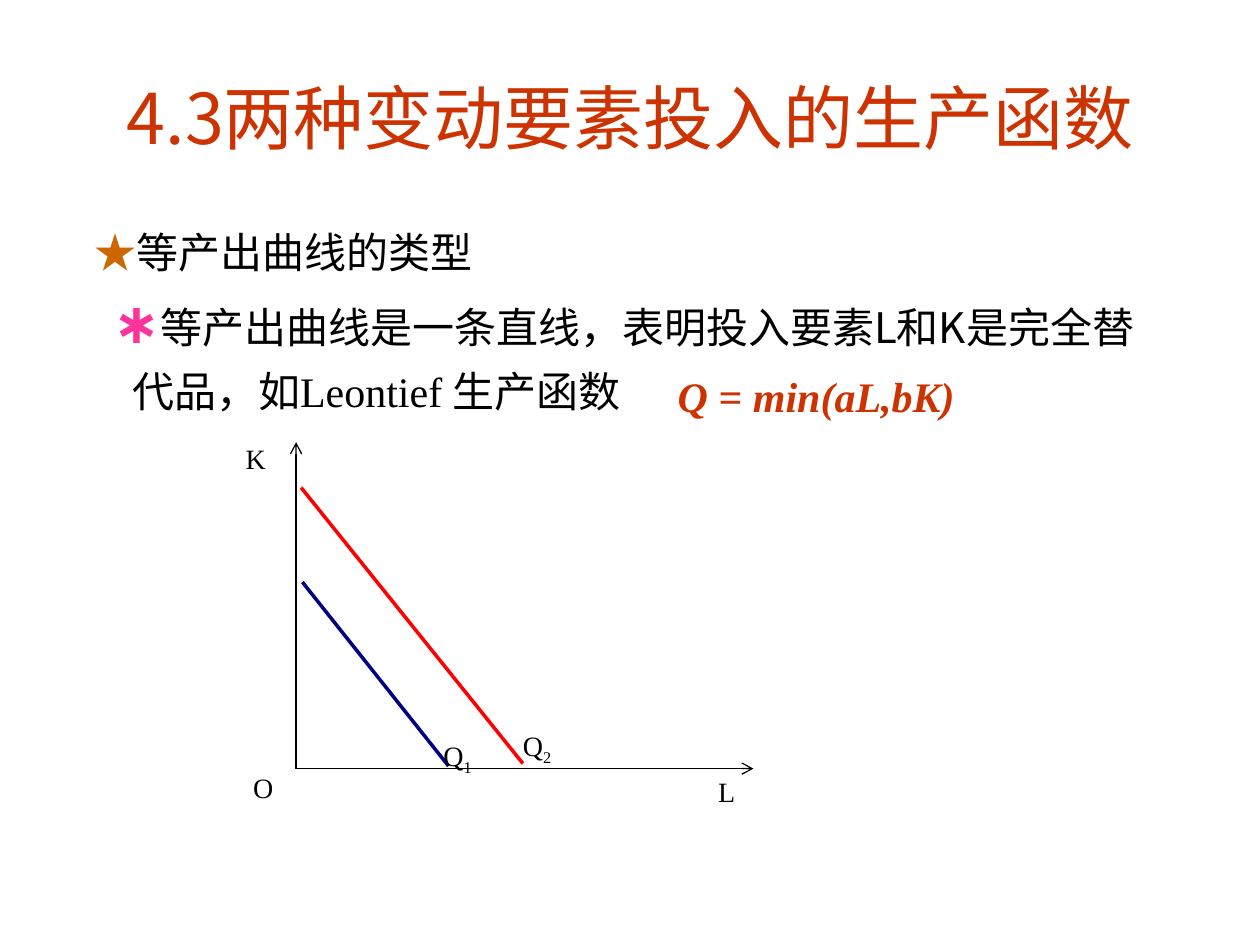
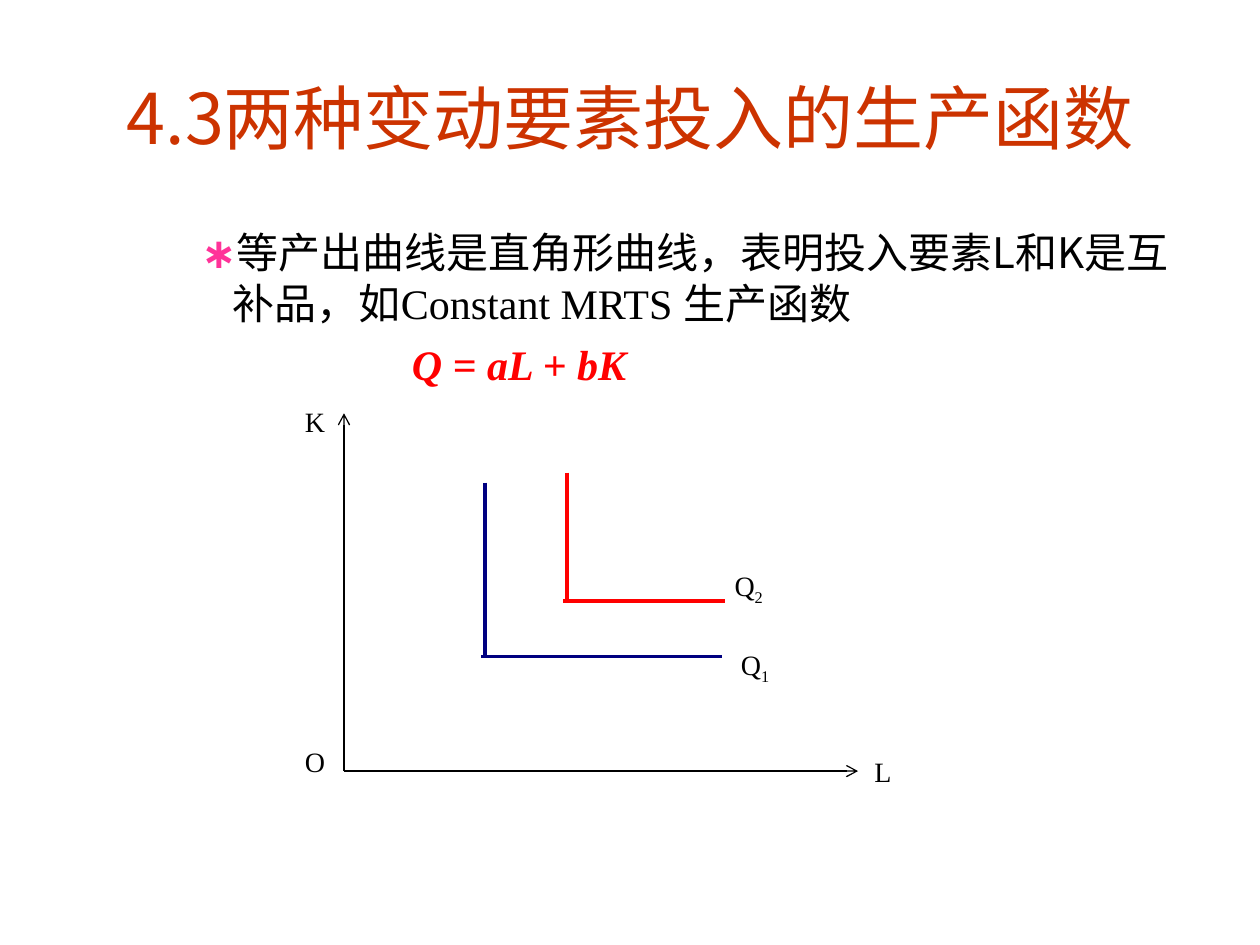
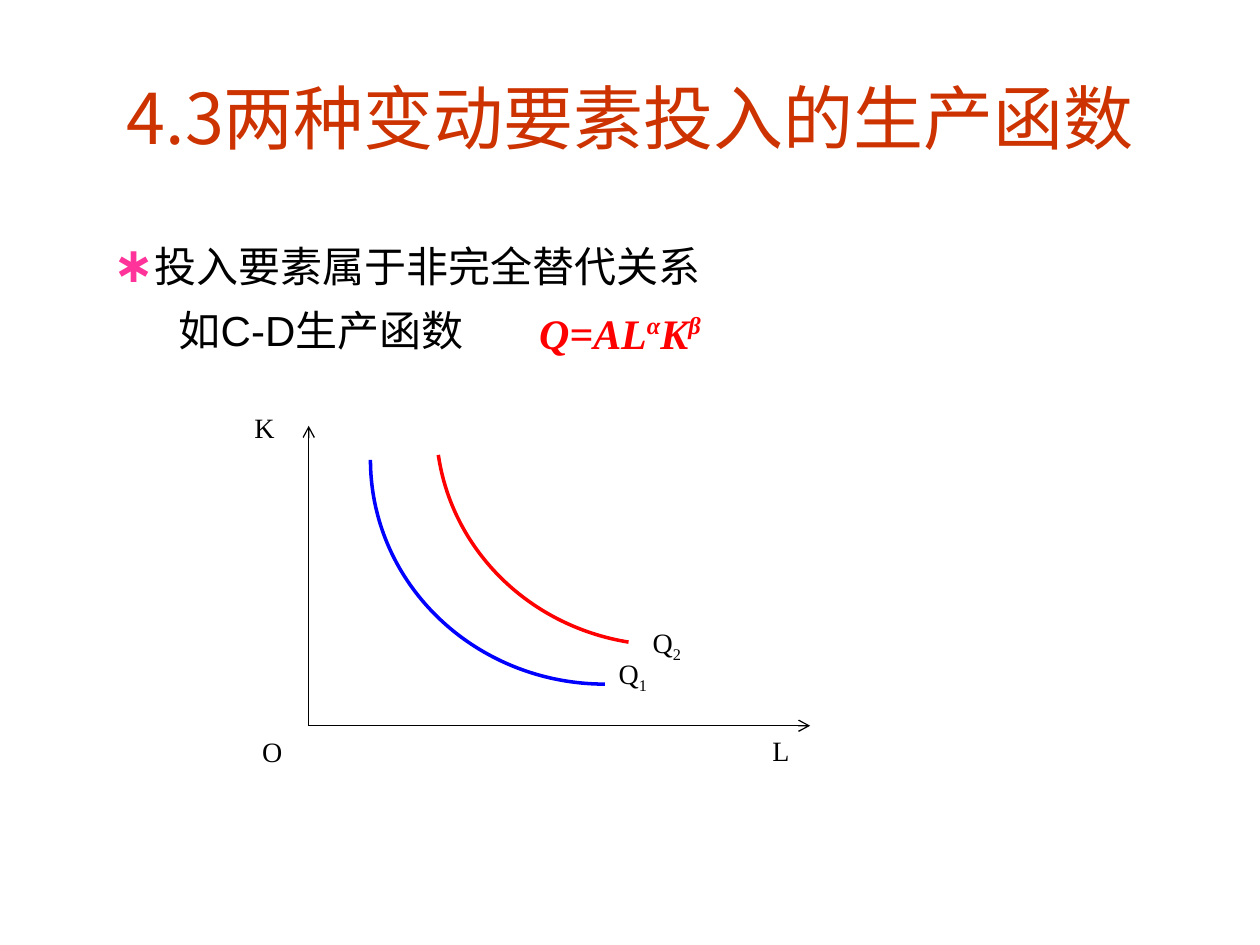
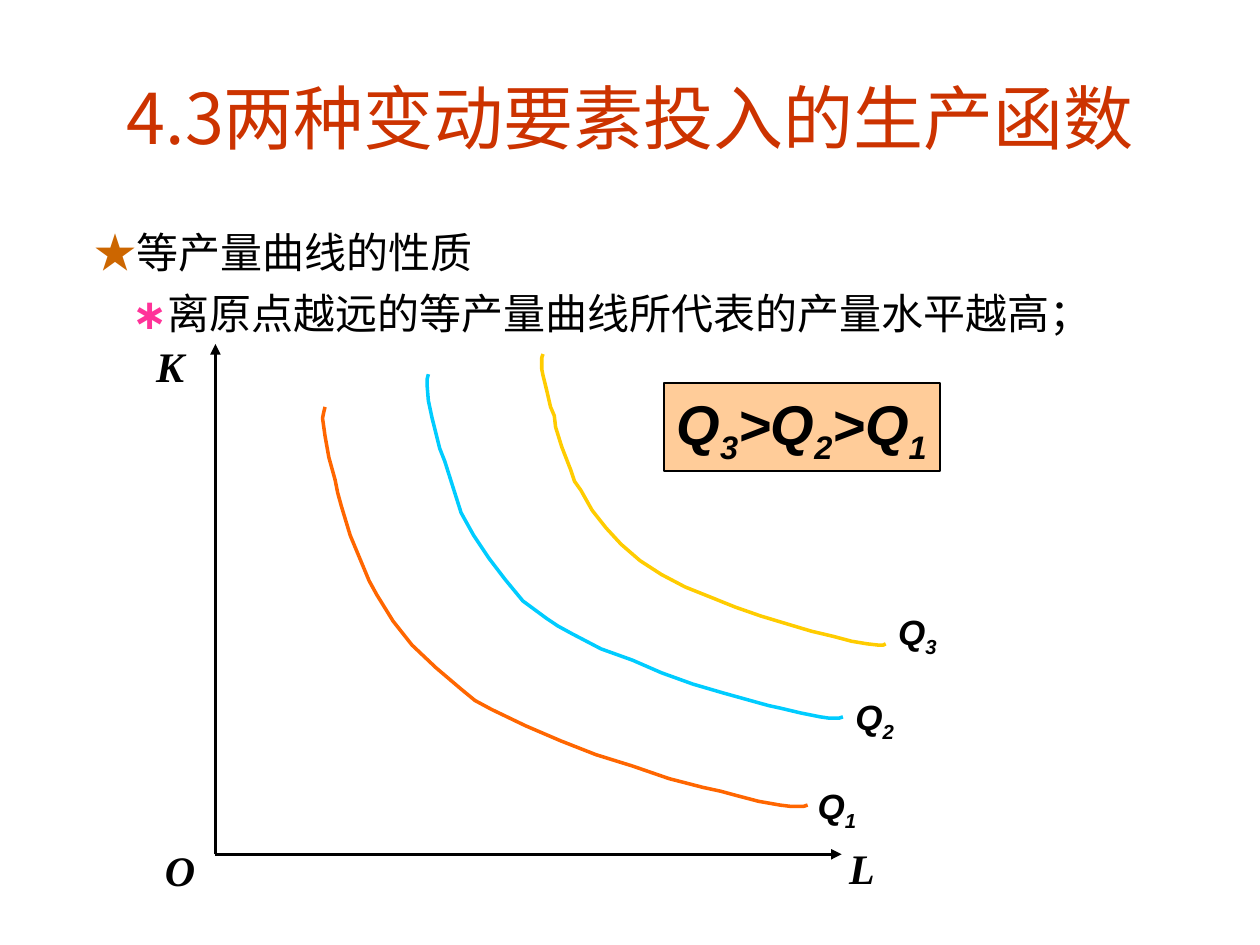
from pptx import Presentation
from pptx.dml.color import RGBColor
from pptx.enum.shapes import MSO_CONNECTOR, MSO_SHAPE
from pptx.enum.text import MSO_ANCHOR, PP_ALIGN
from pptx.oxml.ns import qn
from pptx.util import Inches, Pt
from lxml.etree import SubElement

COLORS = {
    "title": "CC3300", "star": "CC6600", "asterisk": "FF3399", "black": "000000",
    "red": "FF0000", "navy": "000080", "blue": "0000FF", "orange": "FF6600",
    "cyan": "00CCFF", "yellow": "FFCC00", "peach": "FFCC99",
}
SANS, SERIF, CHINESE = "Arial", "Times New Roman", "Noto Sans CJK SC"
TITLE_TEXT = "4.3两种变动要素投入的生产函数"

TITLE = {"size": 40, "name": CHINESE, "color": "title"}
BODY = {"size": 24, "name": CHINESE, "color": "black"}
ARIAL = {**BODY, "name": SANS}
TIMES = {**BODY, "name": SERIF}
STAR = {**BODY, "color": "star"}
ASTERISK = {**BODY, "color": "asterisk", "bold": True}
FORMULA = {**TIMES, "color": "red", "bold": True, "italic": True}
SUPER = {**FORMULA, "baseline": 36}
AXIS_LABEL = {**TIMES, "size": 16}
BOLD_AXIS = {**TIMES, "bold": True, "italic": True}
BOLD_CURVE = {**ARIAL, "size": 20, "bold": True, "italic": True}
ORDERING = {**BOLD_CURVE, "size": 32}

THIN_INSETS = (0.02, 0.01)
WIDE_INSETS = (0.1, 0.05)

CURVES = {
    "cyan": [
        (3.4, 2.97), (3.39, 3.01), (3.39, 3.06), (3.4, 3.18), (3.43, 3.32), (3.47, 3.48),
        (3.49, 3.56), (3.53, 3.66), (3.59, 3.85), (3.66, 4.07), (3.71, 4.16), (3.76, 4.25),
        (3.88, 4.43), (4.01, 4.6), (4.15, 4.77), (4.34, 4.91), (4.43, 4.97), (4.54, 5.03),
        (4.77, 5.15), (5.02, 5.24), (5.25, 5.34), (5.5, 5.43), (5.74, 5.5), (5.99, 5.57),
        (6.1, 5.6), (6.19, 5.62), (6.36, 5.66), (6.51, 5.69), (6.58, 5.7), (6.66, 5.7),
        (6.69, 5.69)],
    "yellow": [
        (4.31, 2.81), (4.3, 2.84), (4.3, 2.93), (4.31, 2.98), (4.34, 3.1), (4.37, 3.23),
        (4.4, 3.3), (4.41, 3.39), (4.46, 3.55), (4.53, 3.73), (4.56, 3.82), (4.61, 3.89),
        (4.7, 4.05), (4.81, 4.19), (4.93, 4.32), (5.08, 4.45), (5.25, 4.56), (5.44, 4.66),
        (5.64, 4.74), (5.84, 4.82), (6.04, 4.89), (6.24, 4.95), (6.44, 5.01), (6.61, 5.05),
        (6.76, 5.09), (6.88, 5.11), (6.97, 5.12), (7.01, 5.12), (7.03, 5.11)],
    "orange": [
        (2.58, 3.23), (2.57, 3.27), (2.56, 3.32), (2.57, 3.39), (2.58, 3.46), (2.61, 3.63),
        (2.66, 3.81), (2.68, 3.91), (2.71, 4.02), (2.78, 4.25), (2.88, 4.49), (2.93, 4.61),
        (2.99, 4.72), (3.12, 4.93), (3.27, 5.12), (3.46, 5.3), (3.66, 5.47), (3.77, 5.56),
        (3.9, 5.63), (4.17, 5.76), (4.45, 5.88), (4.73, 5.99), (5.02, 6.08), (5.31, 6.18),
        (5.58, 6.25), (5.72, 6.28), (5.83, 6.31), (6.02, 6.36), (6.19, 6.39), (6.27, 6.4),
        (6.38, 6.4), (6.41, 6.39)],
}


def rgb(color):
    return RGBColor.from_string(COLORS[color])


def add_span(para, text, style):
    span = para.add_run()
    span.text = text
    values = dict(style)
    span.font.color.rgb = rgb(values.pop("color"))
    baseline = values.pop("baseline", None)
    values["size"] = Pt(values["size"])
    for name, value in values.items():
        setattr(span.font, name, value)
    properties = span._r.get_or_add_rPr()
    if baseline:
        properties.set("baseline", str(baseline * 1000))
    SubElement(properties, qn("a:ea"), typeface=CHINESE)


def set_indents(para, left=0, first=0):
    """Set the left margin and first-line indent, in inches."""
    properties = para._p.get_or_add_pPr()
    properties.set("marL", str(Inches(left)))
    properties.set("indent", str(Inches(first)))


def set_frame(frame, insets, wrap=True, anchor=MSO_ANCHOR.TOP):
    across, down = map(Inches, insets)
    values = {"margin_left": across, "margin_right": across, "margin_top": down,
              "margin_bottom": down, "word_wrap": wrap, "vertical_anchor": anchor}
    for name, value in values.items():
        setattr(frame, name, value)


def add_box(slide, place, insets=WIDE_INSETS, **frame_values):
    box = slide.shapes.add_textbox(*map(Inches, place))
    set_frame(box.text_frame, insets, **frame_values)
    return box.text_frame


def add_titled_slide(deck):
    slide = deck.slides.add_slide(deck.slide_layouts[6])
    frame = add_box(slide, (0.5, 0.3, 9, 1.25), anchor=MSO_ANCHOR.MIDDLE)
    para = frame.paragraphs[0]
    para.alignment = PP_ALIGN.CENTER
    add_span(para, TITLE_TEXT, TITLE)
    return slide


def add_body(slide, rows, top=1.75, gap=6):
    """Add the body text; each row is (indents, spans)."""
    frame = add_box(slide, (0.5, top, 9, 4.95))
    for index, (indents, spans) in enumerate(rows):
        para = frame.add_paragraph() if index else frame.paragraphs[0]
        para.space_before = Pt(gap if index else 0)
        set_indents(para, **indents)
        for text, style in spans:
            add_span(para, text, style)


def add_formula(slide, left, top, spans):
    para = add_box(slide, (left, top, 2.6, 0.5)).paragraphs[0]
    for text, style in spans:
        add_span(para, text, style)


def add_indexed(para, text, style):
    """Write the text with every digit as a subscript."""
    for letter in text:
        add_span(para, letter, {**style, "baseline": -25} if letter.isdigit() else style)


def add_label(slide, text, left, top, spacing=0.8):
    para = add_box(slide, (left, top, 0.5, 0.5), THIN_INSETS).paragraphs[0]
    para.alignment = PP_ALIGN.JUSTIFY
    para.line_spacing = spacing
    add_indexed(para, text, AXIS_LABEL)


def add_bold_label(slide, text, left, top, style, width=0.5):
    frame = add_box(slide, (left, top, width, 0.5))
    add_indexed(frame.paragraphs[0], text, style)


def add_line(slide, start, end, color="black", width=2, arrow=None):
    line = slide.shapes.add_connector(MSO_CONNECTOR.STRAIGHT, *map(Inches, start + end))
    line.line.color.rgb = rgb(color)
    line.line.width = Pt(width)
    if arrow:
        SubElement(line.line._get_or_add_ln(), qn("a:tailEnd"), type=arrow)
    SubElement(line._element.spPr, qn("a:effectLst"))


def add_axes(slide, origin, top, right, width=0.75, arrow="arrow"):
    add_line(slide, origin, (origin[0], top), width=width, arrow=arrow)
    add_line(slide, origin, (right, origin[1]), width=width, arrow=arrow)


def outline(shape, color, width=2):
    shape.shadow.inherit = False
    shape.line.color.rgb = rgb(color)
    shape.line.width = Pt(width)


def add_arc(slide, place, angles, color, rotation=0):
    arc = slide.shapes.add_shape(MSO_SHAPE.ARC, *map(Inches, place))
    for index, angle in enumerate(angles):
        arc.adjustments[index] = angle * 0.6
    arc.rotation = rotation
    arc.fill.background()
    outline(arc, color)


def add_curve(slide, points, color):
    first, *others = [(Inches(x), Inches(y)) for x, y in points]
    builder = slide.shapes.build_freeform(*first)
    builder.add_line_segments(others, close=False)
    curve = builder.convert_to_shape()
    curve.fill.background()
    outline(curve, color)


def add_ordering(slide, text, place):
    box = slide.shapes.add_shape(MSO_SHAPE.RECTANGLE, *map(Inches, place))
    box.fill.solid()
    box.fill.fore_color.rgb = rgb("peach")
    outline(box, "black", 1)
    set_frame(box.text_frame, WIDE_INSETS, wrap=False)
    para = box.text_frame.paragraphs[0]
    para.alignment = PP_ALIGN.LEFT
    add_indexed(para, text, ORDERING)


def add_straight_isoquants(deck):
    slide = add_titled_slide(deck)
    add_body(slide, [
        ({"first": 0.15}, [("★", STAR), ("等产出曲线的类型", ARIAL)]),
        ({"first": 0.3}, [("∗", {**ASTERISK, "size": 32}),
                          ("等产出曲线是一条直线，表明投入要素L和K是完全替", BODY)]),
        ({"first": 0.45}, [("代品，如", BODY), ("Leontief 生产函数", TIMES)]),
    ])
    add_formula(slide, 5.28, 2.89, [("Q = min(aL,bK)", {**FORMULA, "color": "title"})])
    add_axes(slide, (2.35, 6.1), top=3.51, right=5.98)
    add_line(slide, (2.4, 4.62), (3.56, 6.08), "navy")
    add_line(slide, (2.39, 3.87), (4.15, 6.06), "red")
    for text, left, top in [("K", 1.93, 3.55), ("L", 5.68, 6.19), ("O", 1.99, 6.16),
                            ("Q1", 3.5, 5.88), ("Q2", 4.13, 5.8)]:
        add_label(slide, text, left, top)


def add_right_angle_isoquants(deck):
    slide = add_titled_slide(deck)
    add_body(slide, [
        ({"left": 1.25, "first": -0.25}, [
            ("∗", ASTERISK), ("等产出曲线是直角形曲线，表明投入要素L和K是互补品，如", BODY),
            ("Constant MRTS 生产函数", TIMES)]),
        ({"first": 2.67}, [("Q = aL + bK", FORMULA)]),
    ])
    add_axes(slide, (2.73, 6.12), top=3.28, right=6.81)
    for x, y, top, right, color in [(3.85, 5.21, 3.83, 5.73, "navy"),
                                    (4.5, 4.77, 3.75, 5.75, "red")]:
        add_line(slide, (x, top), (x, y), color)
        add_line(slide, (x - 0.03, y), (right, y), color)
    add_label(slide, "K", 2.4, 3.2, spacing=1)
    for text, left, top in [("L", 6.92, 6.03), ("O", 2.4, 5.95),
                            ("Q1", 5.86, 5.16), ("Q2", 5.81, 4.53)]:
        add_label(slide, text, left, top)


def add_convex_isoquants(deck):
    slide = add_titled_slide(deck)
    add_body(slide, [
        ({"first": 0.3}, [("∗", {**ASTERISK, "size": 28}),
                          ("投入要素属于非完全替代关系", ARIAL)]),
        ({"first": 0.82}, [("如C-D生产函数", ARIAL)]),
    ], top=1.8, gap=7)
    add_formula(slide, 4.18, 2.39, [("Q=AL", FORMULA), ("α", SUPER),
                                    ("K", FORMULA), ("β", SUPER)])
    add_axes(slide, (2.45, 5.76), top=3.38, right=6.43)
    add_arc(slide, (2.94, 1.87, 3.72, 3.56), (90, 180), "blue")
    add_arc(slide, (3.46, 1.57, 3.72, 3.55), (107.6, 178.7), "red", rotation=-6.9)
    add_label(slide, "K", 2, 3.25, spacing=1)
    for text, left, top in [("L", 6.11, 5.86), ("O", 2.06, 5.87),
                            ("Q1", 4.89, 5.23), ("Q2", 5.16, 4.98)]:
        add_label(slide, text, left, top)


def add_isoquant_properties(deck):
    slide = add_titled_slide(deck)
    add_body(slide, [
        ({"first": 0.15}, [("★", STAR), ("等产量曲线的性质", ARIAL)]),
        ({"first": 0.45}, [("∗", ASTERISK),
                           ("离原点越远的等产量曲线所代表的产量水平越高；", BODY)]),
    ])
    add_axes(slide, (1.71, 6.78), top=2.73, right=6.68, width=2, arrow="triangle")
    for color, points in CURVES.items():
        add_curve(slide, points, color)
    for text, left, top in [("K", 1.14, 2.65), ("L", 6.64, 6.64), ("O", 1.21, 6.65)]:
        add_bold_label(slide, text, left, top, BOLD_AXIS)
    for text, left, top in [("Q2", 6.69, 5.47), ("Q3", 7.03, 4.8), ("Q1", 6.39, 6.18)]:
        add_bold_label(slide, text, left, top, BOLD_CURVE, width=0.7)
    add_ordering(slide, "Q3>Q2>Q1", (5.27, 3.04, 2.19, 0.7))


def main():
    deck = Presentation()
    deck.slide_width, deck.slide_height = Inches(10), Inches(7.5)
    add_straight_isoquants(deck)
    add_right_angle_isoquants(deck)
    add_convex_isoquants(deck)
    add_isoquant_properties(deck)
    deck.save("out.pptx")


if __name__ == "__main__":
    main()
